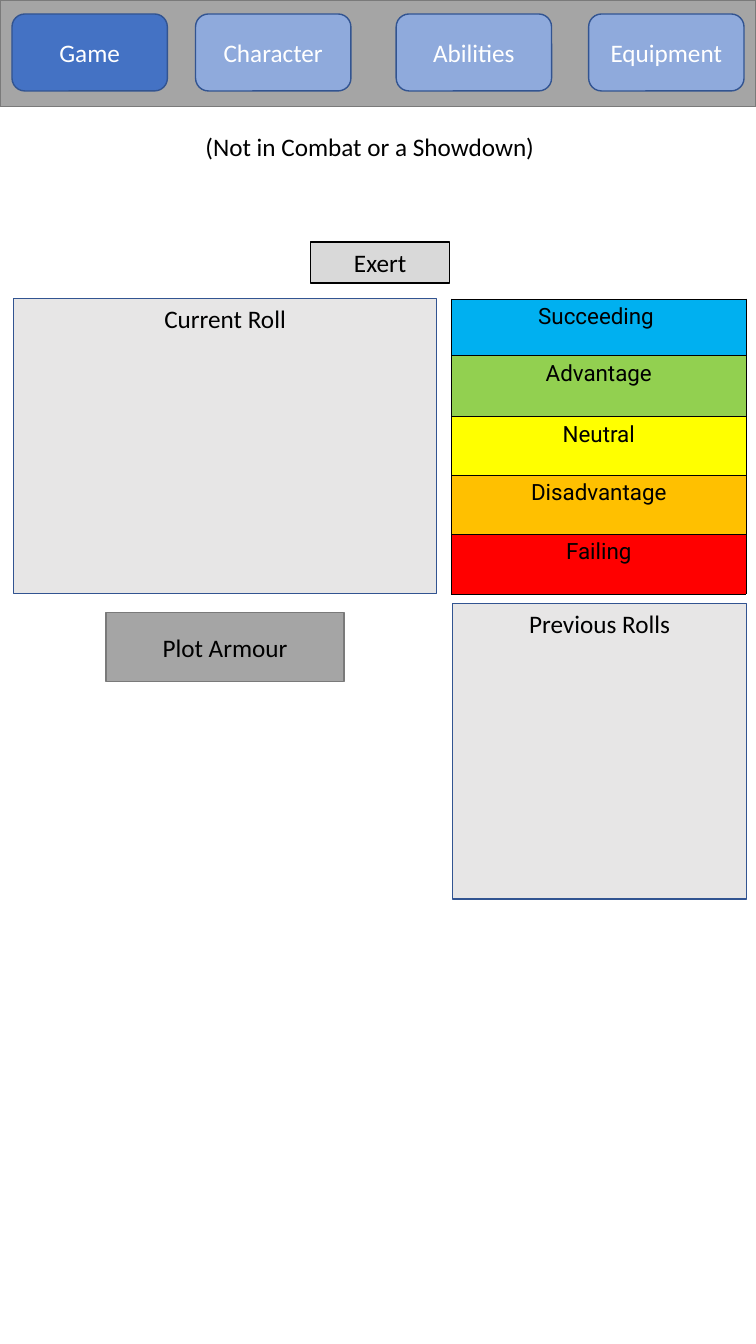
import pptx
import pptx.util
import pptx.dml.color
import pptx.enum.shapes
import pptx.enum.text
import pptx.oxml

Pt = pptx.util.Pt
RGBColor = pptx.dml.color.RGBColor
Kind = pptx.enum.shapes.MSO_SHAPE
Align = pptx.enum.text.PP_ALIGN
Anchor = pptx.enum.text.MSO_ANCHOR

BLACK = RGBColor(0x00, 0x00, 0x00)
WHITE = RGBColor(0xFF, 0xFF, 0xFF)
NAVY = RGBColor(0x32, 0x54, 0x91)
BLUE = RGBColor(0x44, 0x72, 0xC4)
PALE_BLUE = RGBColor(0x8F, 0xAA, 0xDC)
GREY = RGBColor(0xA5, 0xA5, 0xA5)
DARK_GREY = RGBColor(0x7A, 0x7A, 0x7A)
LIGHT_GREY = RGBColor(0xD9, 0xD9, 0xD9)
PANEL = RGBColor(0xE7, 0xE6, 0xE6)
SKY = RGBColor(0x00, 0xB0, 0xF0)
GREEN = RGBColor(0x92, 0xD0, 0x50)
YELLOW = RGBColor(0xFF, 0xFF, 0x00)
ORANGE = RGBColor(0xFF, 0xC0, 0x00)
RED = RGBColor(0xFF, 0x00, 0x00)

TABS = [("Game", 8.6, BLUE), ("Character", 139.7, PALE_BLUE),
        ("Abilities", 283, PALE_BLUE), ("Equipment", 420.5, PALE_BLUE)]
STATES = [("Succeeding\u00a0", SKY, 40.5), ("Advantage", GREEN, 43.4),
          ("Neutral", YELLOW, 42), ("Disadvantage", ORANGE, 42),
          ("Failing", RED, 43)]


def write(frame, text, color=BLACK, size=18, font="Calibri",
          align=Align.CENTER):
    """Put one formatted run in the first paragraph of a text frame."""
    para = frame.paragraphs[0]
    para.alignment = align
    run = para.add_run()
    run.text = text
    run.font.name = font
    run.font.size = Pt(size)
    run.font.color.rgb = color


def add_box(slide, area, fill, line, text="", color=BLACK,
            anchor=Anchor.TOP, kind=Kind.RECTANGLE):
    """Add a filled, outlined shape with an optional centred label."""
    box = slide.shapes.add_shape(kind, *map(Pt, area))
    box.shadow.inherit = False
    box.fill.solid()
    box.fill.fore_color.rgb = fill
    box.line.color.rgb = line
    box.line.width = Pt(1)
    if text:
        frame = box.text_frame
        frame.word_wrap = True
        frame.vertical_anchor = anchor
        write(frame, text, color)


def add_note(slide, area, text):
    """Add a plain left-aligned text box."""
    frame = slide.shapes.add_textbox(*map(Pt, area)).text_frame
    frame.word_wrap = True
    frame.auto_size = pptx.enum.text.MSO_AUTO_SIZE.SHAPE_TO_FIT_TEXT
    write(frame, text, align=Align.LEFT)


def add_edges(cell):
    """Draw a thin black border on all four sides of a cell."""
    props = cell._tc.get_or_add_tcPr()
    space = "http://schemas.openxmlformats.org/drawingml/2006/main"
    for place, side in enumerate(("lnL", "lnR", "lnT", "lnB")):
        edge = pptx.oxml.parse_xml(
            f'<a:{side} xmlns:a="{space}" w="{Pt(0.5)}"><a:solidFill>'
            f'<a:srgbClr val="{BLACK}"/></a:solidFill></a:{side}>')
        props.insert(place, edge)


def add_scale(slide, left, top, width):
    """Add the table of roll states, one coloured row for each."""
    height = sum(state[2] for state in STATES)
    table = slide.shapes.add_table(
        len(STATES), 1, *map(Pt, (left, top, width, height))).table
    table.first_row = False
    table.horz_banding = False
    for row, (text, fill, tall) in enumerate(STATES):
        table.rows[row].height = Pt(tall)
        cell = table.cell(row, 0)
        cell.margin_left = cell.margin_right = Pt(5.2)
        cell.margin_top = cell.margin_bottom = Pt(3.6)
        cell.fill.solid()
        cell.fill.fore_color.rgb = fill
        write(cell.text_frame, text, size=16, font="Roboto")
        add_edges(cell)


def main():
    """Build the game screen and save it."""
    deck = pptx.Presentation()
    deck.slide_width = Pt(540)
    deck.slide_height = Pt(960)
    slide = deck.slides.add_slide(deck.slide_layouts[6])

    add_box(slide, (9.8, 213.2, 302, 211), PANEL, NAVY, "Current Roll")
    add_scale(slide, 322.6, 213.5, 210.2)
    add_box(slide, (0, 0, 540, 76), GREY, DARK_GREY)
    for text, left, fill in TABS:
        add_box(slide, (left, 10, 111, 55), fill, NAVY, text, WHITE,
                Anchor.MIDDLE, Kind.ROUNDED_RECTANGLE)
    add_box(slide, (323.2, 431.3, 210.2, 211), PANEL, NAVY, "Previous Rolls")
    add_box(slide, (75.8, 437.4, 170, 49.4), GREY, DARK_GREY, "Plot Armour",
            anchor=Anchor.MIDDLE)
    add_note(slide, (139.7, 90, 302, 29), "(Not in Combat or a Showdown)")
    add_box(slide, (221.8, 172.8, 99.4, 29.4), LIGHT_GREY, BLACK, "Exert")
    deck.save("out.pptx")


main()
